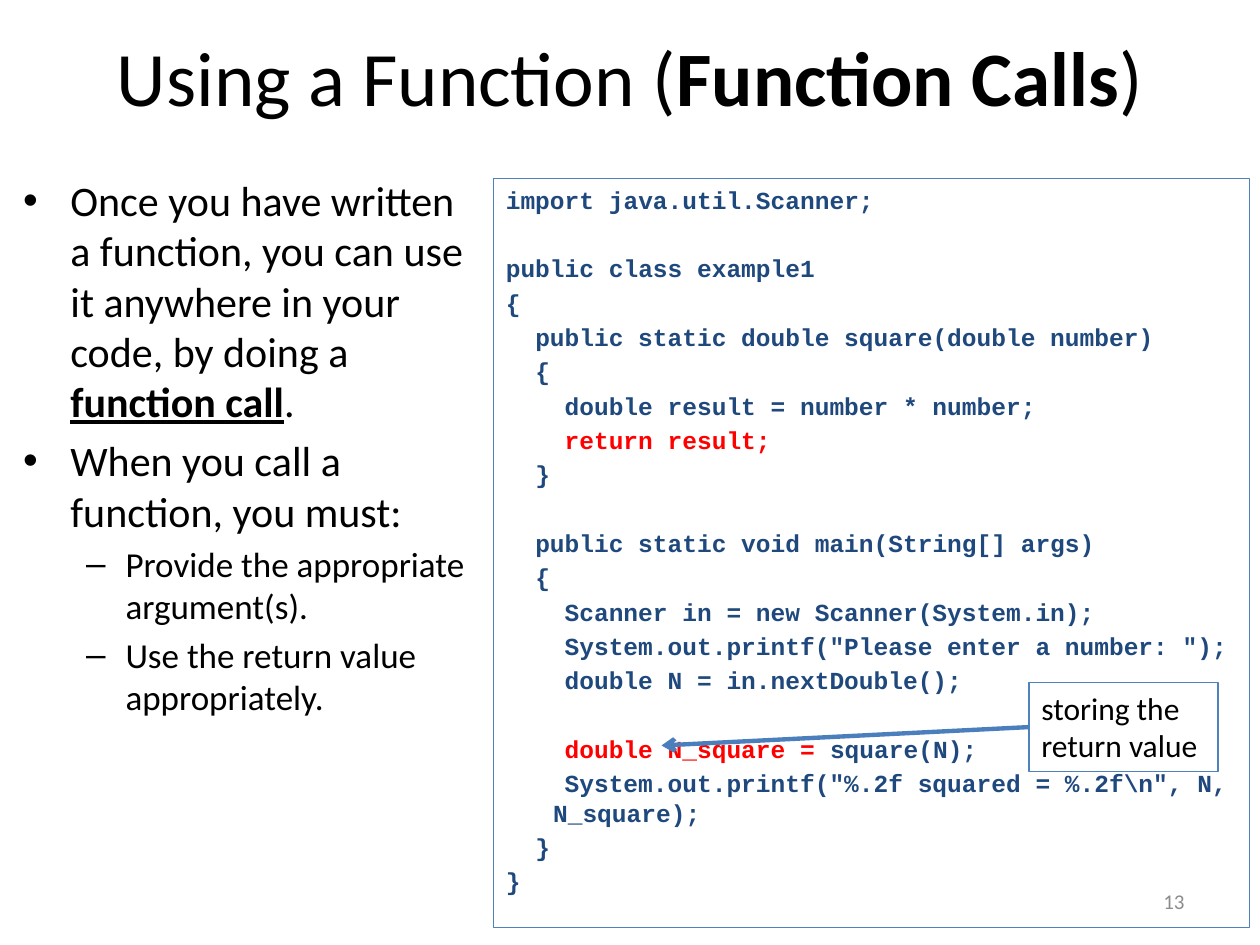
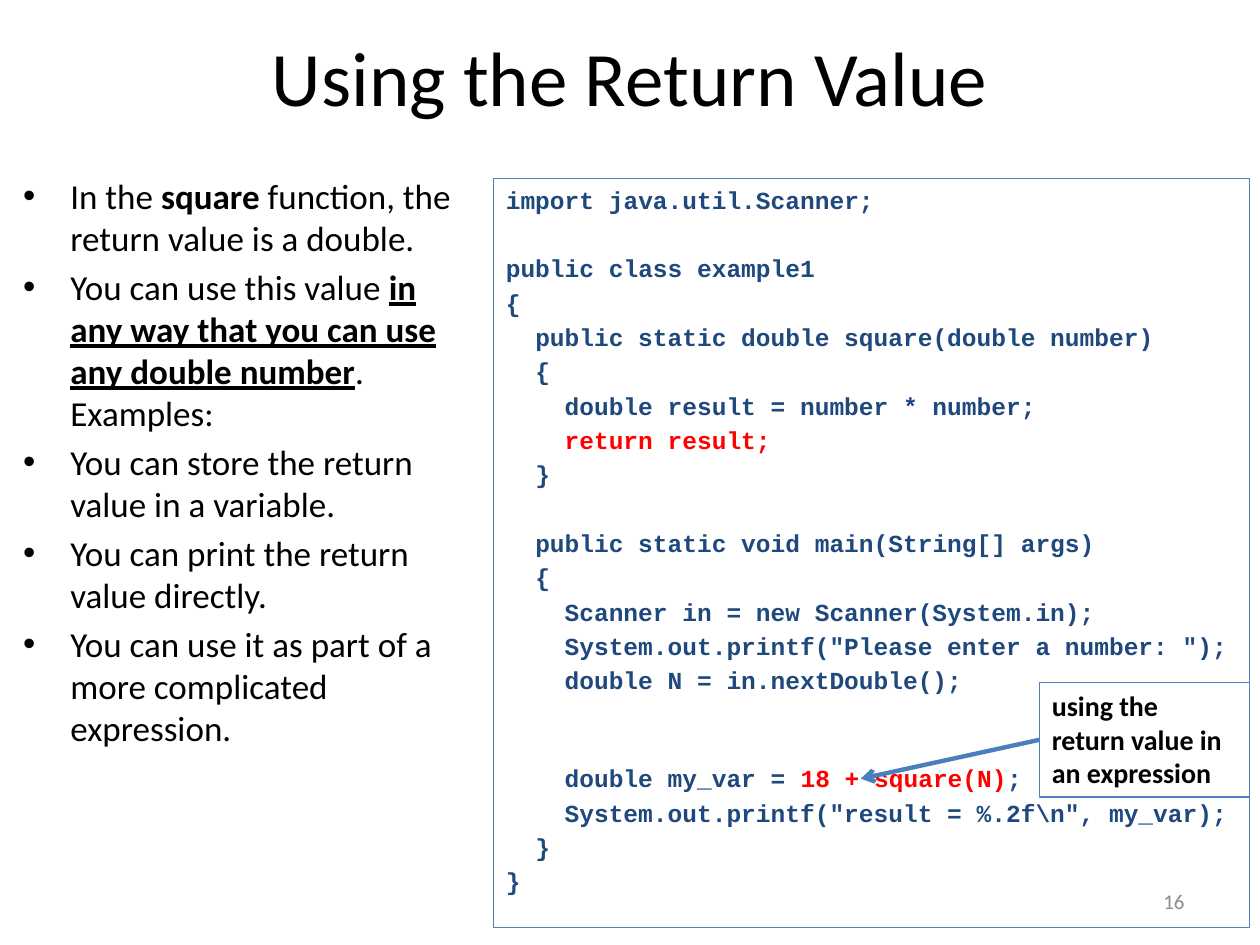
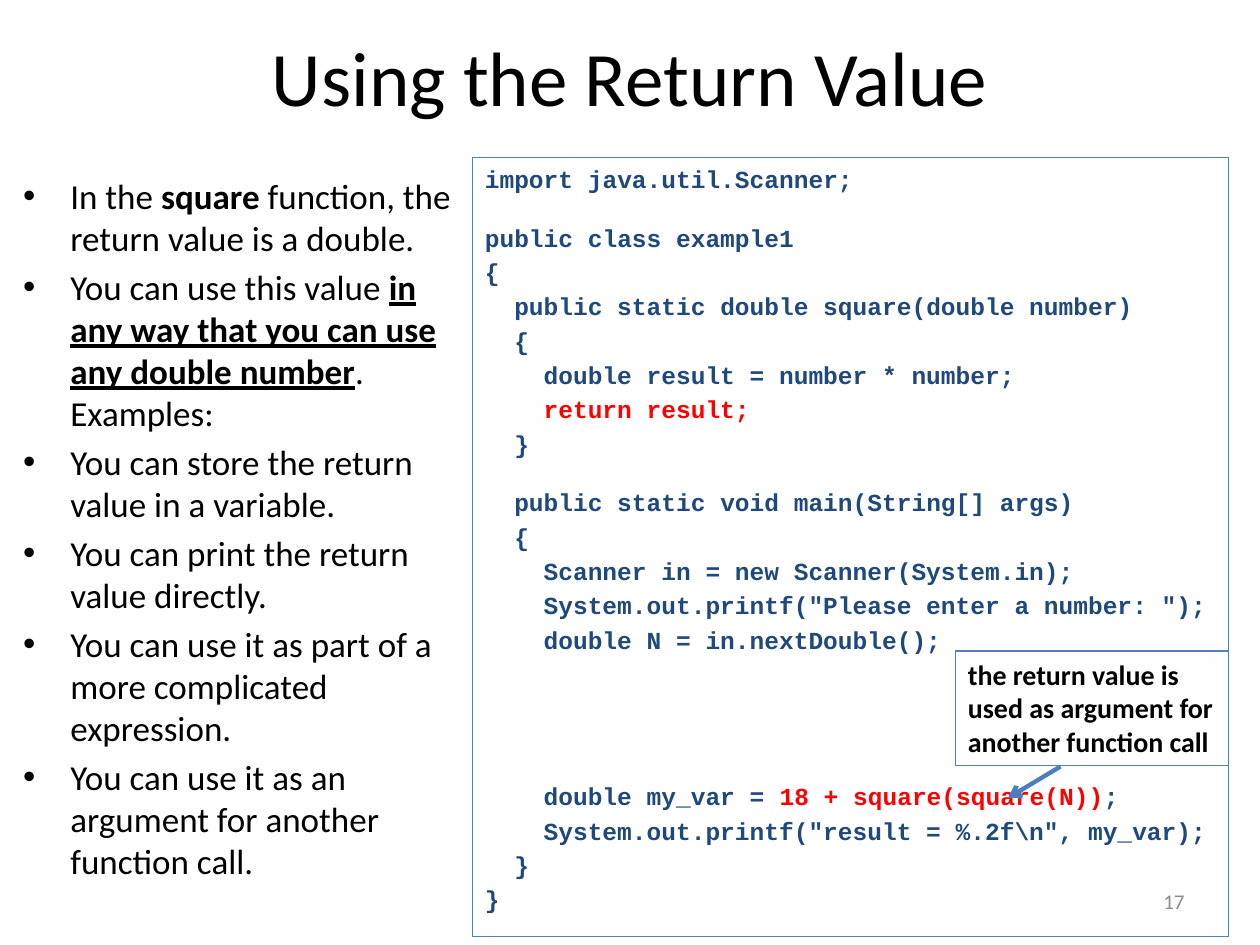
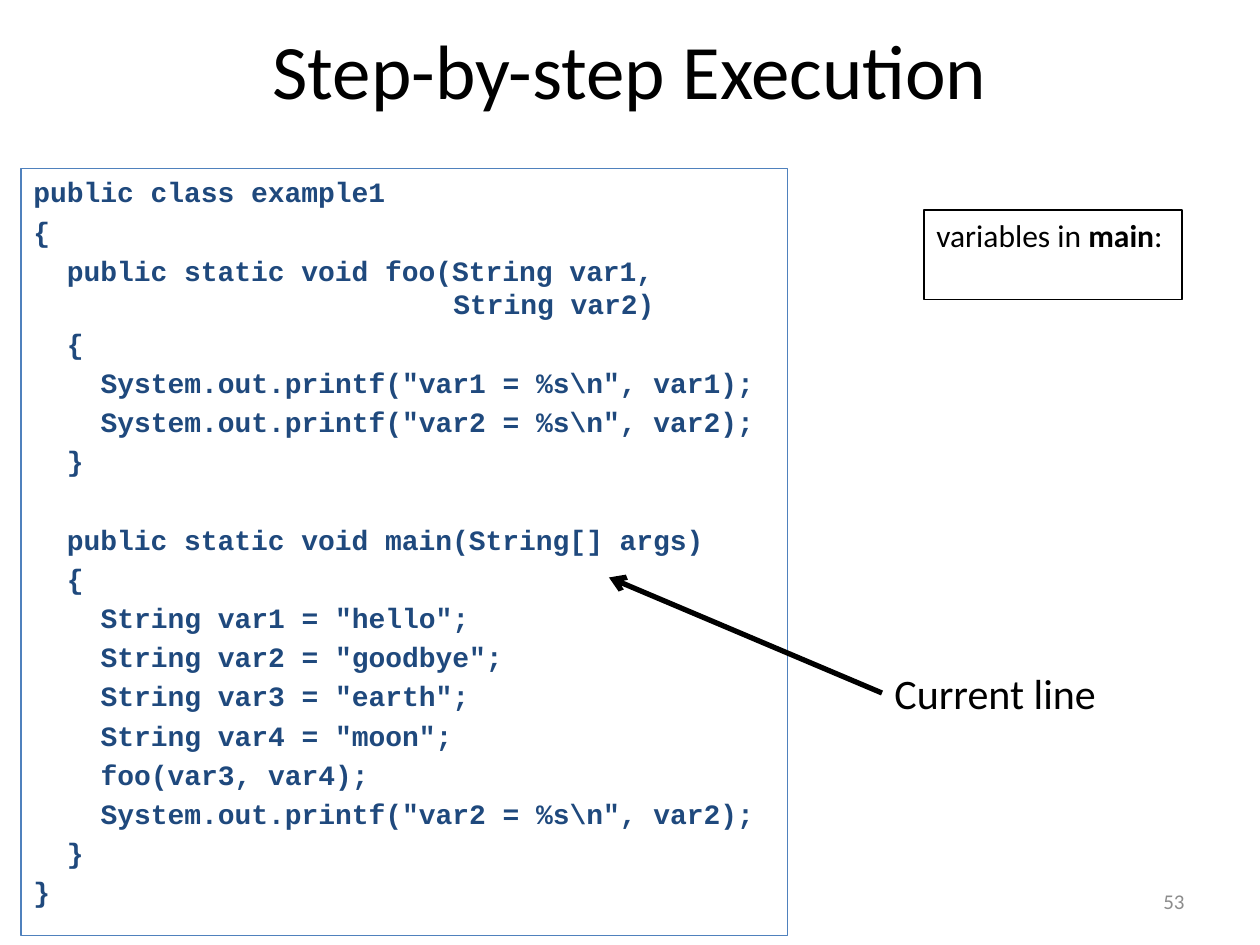
from lxml import etree
from pptx import Presentation
from pptx import util as u
from pptx.dml.color import RGBColor
from pptx.enum import shapes, text
from pptx.oxml.ns import qn

COLORS = {
    "ink": "000000",
    "code": "1F497D",
    "key": "FF0000",
    "border": "4F81BD",
    "arrow": "4B7EBC",
    "number": "8C8C8C",
}
STYLES = {
    "title": {"name": "Calibri", "size": u.Pt(44), "color": "ink"},
    "text": {"name": "Calibri", "color": "ink"},
    "code": {"name": "Courier New", "bold": True, "color": "code"},
    "number": {"name": "Calibri", "size": u.Pt(12), "color": "number"},
}
MARKS = {"b": {"bold": True}, "u": {"bold": True, "underline": True}, "k": {"color": "key"}}
TITLE_BOX = (36, 9, 648, 69)
BODY_BOX = (6, 96, 270, 428)
NUMBER_BOX = (516, 500.5, 168, 28.75)
CODE_BOX = (282, 102, 432, 428)
HANG = 27
CHAR_WIDTH = 0.6
SPACE_BEFORE = 0.2
BLANK = 1.4
EXTRA_LINE = 1.2

RETURN_POINTS = [
    [("In the", ""), (" square", "b"), (" function, the return value is a double.", "")],
    [("You can use this value ", ""),
     ("in any way that you can use any double number", "u"), (". Examples:", "")],
    "You can store the return value in a variable.",
    "You can print the return value directly.",
    "You can use it as part of a more complicated expression.",
]


def rgb(name):
    return RGBColor.from_string(COLORS[name])


def set_font(font, fmt):
    for key, value in fmt.items():
        if key == "color":
            font.color.rgb = rgb(value)
        else:
            setattr(font, key, value)


def add_runs(p, content, fmt):
    runs = [(content, "")] if isinstance(content, str) else content
    for words, mark in runs:
        r = p.add_run()
        r.text = words
        set_font(r.font, {**fmt, **MARKS.get(mark, {})})


def place(sp, box):
    for key, value in zip(("left", "top", "width", "height"), box):
        setattr(sp, key, u.Pt(value))


def set_frame(tf, **fmt):
    for key, value in {"word_wrap": True, "auto_size": text.MSO_AUTO_SIZE.NONE, **fmt}.items():
        setattr(tf, key, value)


def add_slide(prs, title, number, points=None, size=20, title_box=TITLE_BOX):
    s = prs.slides.add_slide(prs.slide_layouts[1 if points else 5])
    place(s.shapes.title, title_box)
    tf = s.shapes.title.text_frame
    set_frame(tf, vertical_anchor=text.MSO_ANCHOR.MIDDLE)
    add_runs(tf.paragraphs[0], title, STYLES["title"])
    if points:
        add_list(s.placeholders[1], points, size)
    add_label(s, NUMBER_BOX, str(number), STYLES["number"], text.PP_ALIGN.RIGHT)
    return s


def add_list(sp, points, size):
    place(sp, BODY_BOX)
    tf = sp.text_frame
    set_frame(tf)
    for i, point in enumerate(points):
        p = tf.add_paragraph() if i else tf.paragraphs[0]
        sub = isinstance(point, str) and point.startswith("- ")
        p.level = int(sub)
        fmt = {**STYLES["text"], "size": u.Pt(20 if sub else size)}
        add_runs(p, point[2:] if sub else point, fmt)


def add_label(s, box, words, fmt, align=text.PP_ALIGN.LEFT, wrap=True):
    sp = s.shapes.add_textbox(*map(u.Pt, box))
    tf = sp.text_frame
    set_frame(tf, word_wrap=wrap, vertical_anchor=text.MSO_ANCHOR.MIDDLE)
    tf.paragraphs[0].alignment = align
    add_runs(tf.paragraphs[0], words, fmt)


def add_frame(s, box, border="border"):
    sp = s.shapes.add_shape(shapes.MSO_SHAPE.RECTANGLE, *map(u.Pt, box))
    sp.shadow.inherit = False
    sp.fill.background()
    sp.line.color.rgb = rgb(border)
    sp.line.width = u.Pt(0.75)
    set_frame(sp.text_frame, vertical_anchor=text.MSO_ANCHOR.TOP)
    sp.text_frame.paragraphs[0].alignment = text.PP_ALIGN.LEFT
    return sp.text_frame


def add_callout(s, box, words, size, border="border", bold=False):
    tf = add_frame(s, box, border)
    add_runs(tf.paragraphs[0], words, {**STYLES["text"], "size": u.Pt(size), "bold": bold})


def add_code(s, box, lines, size=14):
    tf = add_frame(s, box)
    p, gap = tf.paragraphs[0], 0
    for line in lines:
        if not isinstance(line, str):
            gap += line
            continue
        if p.runs:
            p = tf.add_paragraph()
        code = line.lstrip()
        first = (len(line) - len(code)) * CHAR_WIDTH * size
        pPr = p._p.get_or_add_pPr()
        pPr.set("marL", str(u.Pt(HANG)))
        pPr.set("indent", str(u.Pt(first - HANG)))
        p.alignment = text.PP_ALIGN.LEFT
        p.space_before = u.Pt(round(SPACE_BEFORE * size + gap, 2))
        runs = [(part, "k" if i % 2 else "") for i, part in enumerate(code.split("~")) if part]
        add_runs(p, runs, {**STYLES["code"], "size": u.Pt(size)})
        gap = 0


def add_arrow(s, start, end, color="arrow", width=2.5):
    cx = s.shapes.add_connector(shapes.MSO_CONNECTOR.STRAIGHT, *map(u.Pt, start + end))
    cx.line.color.rgb = rgb(color)
    cx.line.width = u.Pt(width)
    spPr = cx.element.spPr
    etree.SubElement(spPr.find(qn("a:ln")), qn("a:tailEnd")).set("type", "arrow")
    etree.SubElement(spPr, qn("a:effectLst"))


def square_program(blank, call_gap, call):
    return [
        "import java.util.Scanner;",
        blank,
        "public class example1",
        "{",
        "  public static double square(double number)",
        "  {",
        "    double result = number * number;",
        "    ~return result;~",
        "  }",
        blank,
        "  public static void main(String[] args)",
        "  {",
        "    Scanner in = new Scanner(System.in);",
        '    System.out.printf("Please enter a number: ");',
        "    double N = in.nextDouble();",
        call_gap,
        *call,
        "  }",
        "}",
    ]


def expression_call(expression):
    return [f"    double my_var = ~{expression}~;",
            r'    System.out.printf("result = %.2f\n", my_var);']


def function_calls(prs):
    title = [("Using a Function (", ""), ("Function Calls", "b"), (")", "")]
    points = [
        [("Once you have written a function, you can use it anywhere in your code, by doing a ", ""),
         ("function call", "u"), (".", "")],
        "When you call a function, you must:",
        "- Provide the appropriate argument(s).",
        "- Use the return value appropriately.",
    ]
    call = ["    ~double N_square =~ square(N);",
            r'    System.out.printf("%.2f squared = %.2f\n", N, N_square);']
    s = add_slide(prs, title, 13, points, 24)
    blank = BLANK * 14
    add_code(s, CODE_BOX, square_program(blank, blank, call))
    add_callout(s, (588, 390, 108, 51), "storing the return value", 18)
    add_arrow(s, (588, 415.5), (378, 426))


def return_in_expression(prs):
    s = add_slide(prs, "Using the Return Value", 16, RETURN_POINTS)
    call_gap = (BLANK + EXTRA_LINE) * 14
    add_code(s, CODE_BOX, square_program(BLANK * 14, call_gap, expression_call("18 + square(N)")))
    add_callout(s, (594, 390, 120, 65.5), "using the return value in an expression", 16, bold=True)
    add_arrow(s, (594, 422.75), (492, 445))


def return_as_argument(prs):
    points = RETURN_POINTS + ["You can use it as an argument for another function call."]
    s = add_slide(prs, "Using the Return Value", 17, points)
    call_gap = (BLANK + 3 * EXTRA_LINE) * 14
    call = expression_call("18 + square(square(N))")
    add_code(s, (270, 90, 432, 445), square_program(BLANK * 10, call_gap, call))
    add_callout(s, (546, 372, 156, 65.5),
                "the return value is used as argument for another function call", 16, bold=True)
    add_arrow(s, (606, 438), (576, 456))


def step_by_step(prs):
    s = add_slide(prs, "Step-by-step Execution", 53, title_box=(36, 6, 648, 66))
    add_label(s, (504, 378, 131, 36), "Current line", {**STYLES["text"], "size": u.Pt(24)}, wrap=False)
    add_callout(s, (528, 120, 147.5, 51),
                [("variables in ", ""), ("main", "b"), (":", "")], 18, "ink")
    continuation = "String var2)".rjust(37)
    add_code(s, (12, 96.5, 438, 438), [
        "public class example1",
        "{",
        "  public static void foo(String var1,",
        -SPACE_BEFORE * 16,
        continuation,
        "  {",
        r'    System.out.printf("var1 = %s\n", var1);',
        r'    System.out.printf("var2 = %s\n", var2);',
        "  }",
        BLANK * 16,
        "  public static void main(String[] args)",
        "  {",
        '    String var1 = "hello";',
        '    String var2 = "goodbye";',
        '    String var3 = "earth";',
        '    String var4 = "moon";',
        "    foo(var3, var4);",
        r'    System.out.printf("var2 = %s\n", var2);',
        "  }",
        "}",
    ], 16)
    add_arrow(s, (504, 396), (348, 330), "ink", 3)


def main():
    prs = Presentation()
    prs.slide_width, prs.slide_height = u.Pt(720), u.Pt(540)
    function_calls(prs)
    return_in_expression(prs)
    return_as_argument(prs)
    step_by_step(prs)
    prs.save("out.pptx")


if __name__ == "__main__":
    main()
